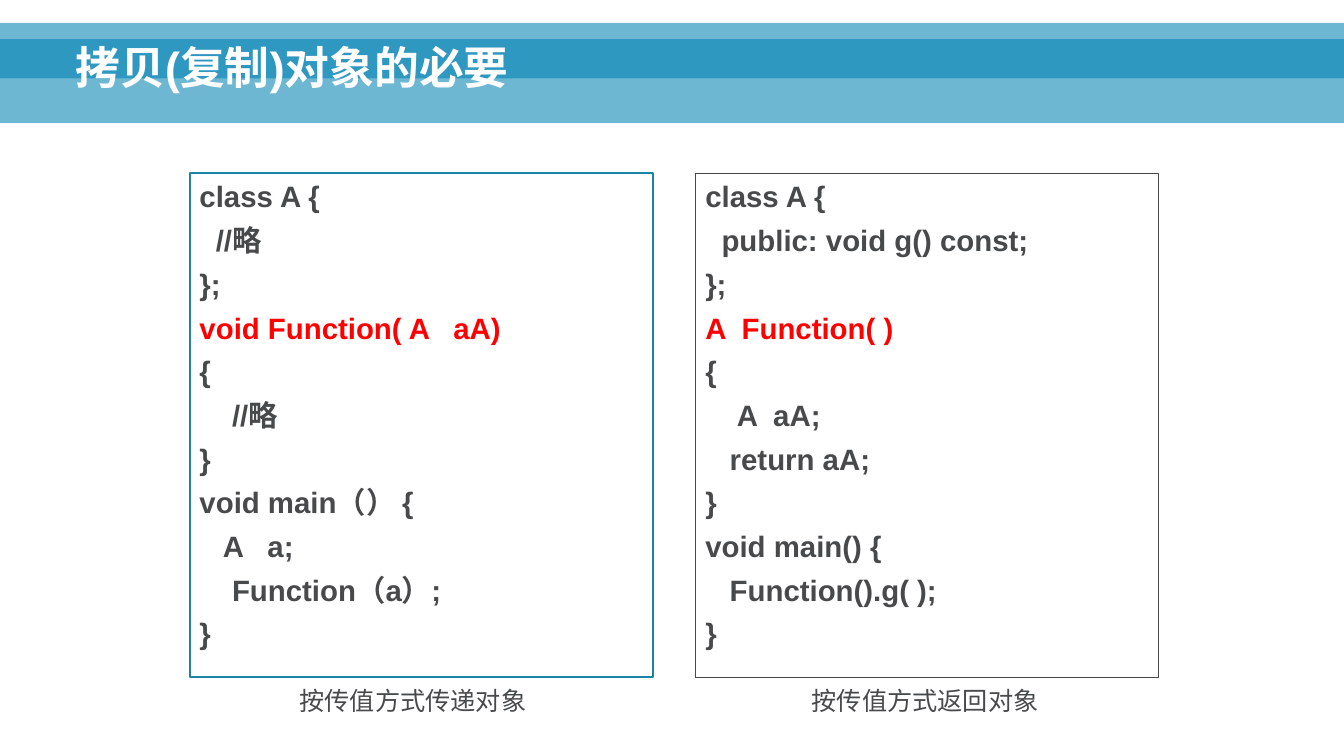
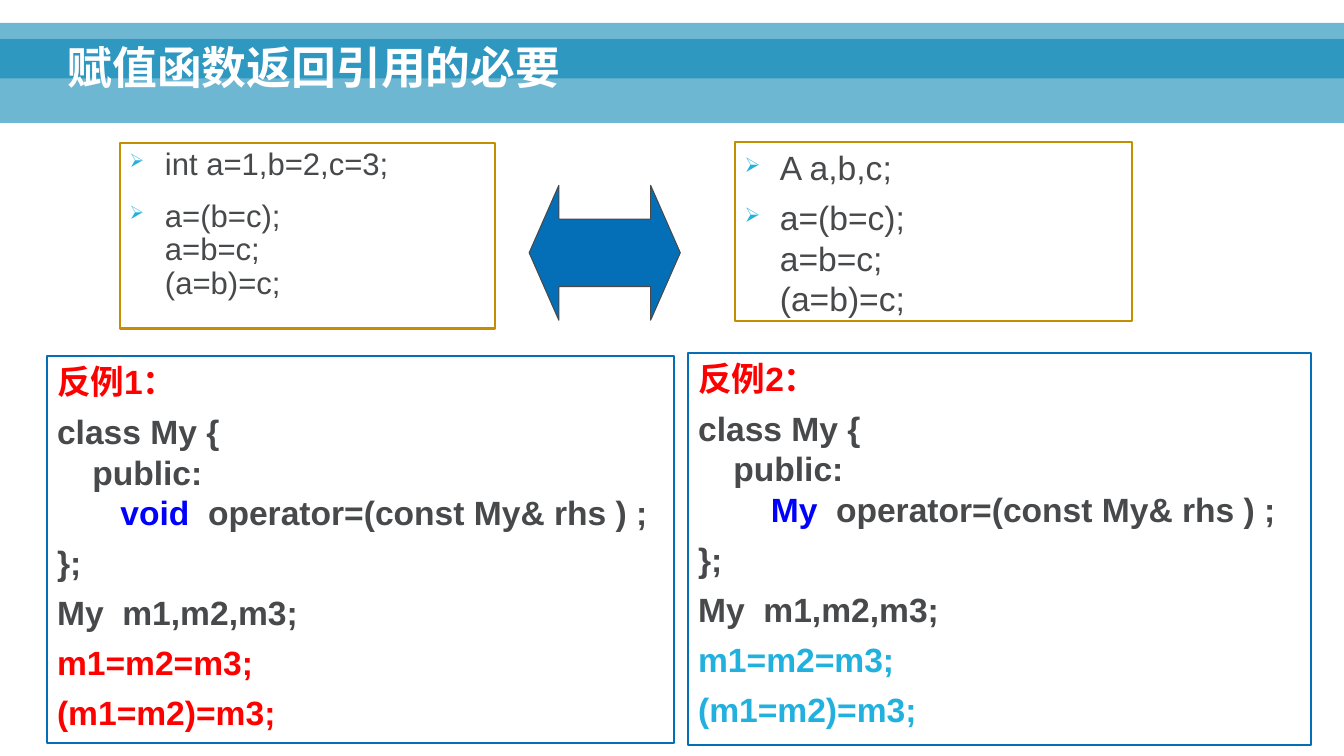
from dataclasses import dataclass

from lxml.etree import SubElement
from pptx import Presentation
from pptx.dml.color import RGBColor
from pptx.enum.shapes import MSO_SHAPE as Shape
from pptx.enum.text import MSO_ANCHOR as Anchor, PP_ALIGN as Align
from pptx.oxml.ns import qn
from pptx.util import Cm, Pt


@dataclass(frozen=True)
class Theme:
    font: str = "Arial"
    band: str = "0082B3"
    band_alpha: int = 57
    title: str = "FFFFFF"
    ink: str = "47494B"
    red: str = "FF0000"
    keyword: str = "0000FF"
    sky: str = "22B1DE"
    teal: str = "1985A7"
    gold: str = "C58D01"
    blue: str = "046FB6"
    title_size: float = 32
    listing_size: float = 21
    example_size: float = 24
    builtin_size: float = 22.2
    caption_size: float = 18


T = Theme()

# Content: a paragraph is a list of (text, colour) pieces, "\n" breaks its line
COPY_TITLE = "拷贝(复制)对象的必要"
PASS_BY_VALUE = ["class A {", "  //略", "};", "void Function( A   aA)", "{",
                 "    //略", "}", "void main（） {", "   A   a;",
                 "    Function（a）;", "}"]
RETURN_BY_VALUE = ["class A {", "  public: void g() const;", "};",
                   "A  Function( )", "{", "    A  aA;", "   return aA;", "}",
                   "void main() {", "   Function().g( );", "}"]
SIGNATURE_LINE = 3
# listing, left, outline colour, outline width, caption, caption centre
LISTINGS = [
    (PASS_BY_VALUE, 4.78, T.teal, 1.5, "按传值方式传递对象", 10.41),
    (RETURN_BY_VALUE, 17.53, T.ink, 0.75, "按传值方式返回对象", 23.32),
]

ASSIGN_TITLE = "赋值函数返回引用的必要"
ASSIGNMENTS = "a=(b=c);\na=b=c;\n(a=b)=c;"
# declaration, box, text size, line spacing, space before, space after
COMPARED = [
    ("int a=1,b=2,c=3;", (3.02, 3.61, 9.47, 4.67), T.builtin_size, 0.9, 7, 6),
    ("A a,b,c;", (18.52, 3.58, 10.01, 4.5), T.example_size, 1.0, 7, 0),
]
# heading, indent and return type, colour of the assignments, box
COUNTEREXAMPLES = [
    ("反例1：", "   ", "void", T.red, (1.19, 8.97, 15.8, 9.75)),
    ("反例2：", "    ", "My", T.sky, (17.35, 8.89, 15.7, 9.88)),
]

HANGING = Cm(0.89)
BANDS = [(0, 0.99, 33.88, 2.11), (0, 0.58, 33.88, 1.4)]


def rgb(value):
    return RGBColor.from_string(value)


def add_box(slide, box, kind=Shape.RECTANGLE, fill=None, line=None, width=1.5):
    shape = slide.shapes.add_shape(kind, *map(Cm, box))
    shape.shadow.inherit = False
    if fill:
        shape.fill.solid()
        shape.fill.fore_color.rgb = rgb(fill)
    else:
        shape.fill.background()
    if line:
        shape.line.color.rgb = rgb(line)
        shape.line.width = Pt(width)
    else:
        shape.line.fill.background()
    return shape


def hang(paragraph, bullet):
    props = paragraph._p.get_or_add_pPr()
    props.set("marL", str(HANGING))
    props.set("indent", str(-HANGING))
    if bullet:
        colour = SubElement(props, qn("a:buClr"))
        SubElement(colour, qn("a:srgbClr"), val=T.sky)
        SubElement(props, qn("a:buSzPct"), val="60000")
        SubElement(props, qn("a:buChar"), char="➢")


def write(shape, paragraphs, size, bold=False, align=Align.LEFT, spacing=None,
          before=0, after=0, hanging=False, bullet=False, top=0.13):
    frame = shape.text_frame
    frame.word_wrap = True
    frame.vertical_anchor = Anchor.TOP
    frame.margin_top = Cm(top)
    for number, pieces in enumerate(paragraphs):
        paragraph = frame.add_paragraph() if number else frame.paragraphs[0]
        if hanging:
            hang(paragraph, bullet)
        paragraph.alignment = align
        paragraph.line_spacing = spacing
        paragraph.space_before = Pt(before if number else 0)
        paragraph.space_after = Pt(after)
        font = paragraph.font
        font.name, font.size, font.bold = T.font, Pt(size), bold
        font.color.rgb = rgb(pieces[0][1])
        for text, colour in pieces:
            for row, part in enumerate(text.split("\n")):
                if row:
                    paragraph.add_line_break()
                run = paragraph.add_run()
                run.text = part
                if colour != pieces[0][1]:
                    run.font.color.rgb = rgb(colour)


def add_bands(layout, slide):
    """Draw the header bands and move them behind the layout's placeholders."""
    for place, box in enumerate(BANDS, start=2):
        band = add_box(slide, box, fill=T.band)
        colour = band.element.spPr.find(".//" + qn("a:srgbClr"))
        SubElement(colour, qn("a:alpha"), val=str(T.band_alpha * 1000))
        layout.shapes.element.insert(place, band.element)


def add_title(slide, text, left, top):
    title = slide.shapes.title
    title.left, title.top, title.width, title.height = map(
        Cm, (left, top, 30.43, 2.21))
    write(title, [[(text, T.title)]], T.title_size, bold=True, spacing=0.9)
    title.text_frame.vertical_anchor = Anchor.BOTTOM


def build_copy_slide(slide):
    add_title(slide, COPY_TITLE, 1.65, 0.28)
    for listing, left, line, width, caption, centre in LISTINGS:
        box = add_box(slide, (left, 4.37, 11.68, 12.7), line=line, width=width)
        rows = [[(text, T.red if number == SIGNATURE_LINE else T.ink)]
                for number, text in enumerate(listing)]
        write(box, rows, T.listing_size, bold=True, before=3, after=3)
        label = slide.shapes.add_textbox(
            Cm(centre - 5.1), Cm(17.15), Cm(10.2), Cm(1.02))
        write(label, [[(caption, T.ink)]], T.caption_size, align=Align.CENTER)


def build_assign_slide(slide):
    add_title(slide, ASSIGN_TITLE, 1.45, 0.3)
    # Built-in type and class side by side
    for declaration, place, size, spacing, before, after in COMPARED:
        box = add_box(slide, place, line=T.gold)
        write(box, [[(declaration, T.ink)], [(ASSIGNMENTS, T.ink)]], size,
              spacing=spacing, before=before, after=after,
              hanging=True, bullet=True)
    arrow = add_box(slide, (13.34, 4.67, 3.81, 3.4), Shape.LEFT_RIGHT_ARROW,
                    fill=T.blue, line=T.ink, width=0.75)
    arrow.adjustments[0], arrow.adjustments[1] = 0.5, 0.22
    # Counterexamples
    for heading, indent, result, colour, place in COUNTEREXAMPLES:
        box = add_box(slide, place, line=T.blue)
        write(box, [
            [(heading, T.red)],
            [("class My {\npublic:\n" + indent, T.ink), (result, T.keyword),
             ("  operator=(const My& rhs ) ;", T.ink)],
            [("};", T.ink)],
            [("My  m1,m2,m3;", T.ink)],
            [("m1=m2=m3;", colour)],
            [("(m1=m2)=m3;", colour)],
        ], T.example_size, bold=True, before=7, hanging=True)


def main():
    deck = Presentation()
    deck.slide_width, deck.slide_height = Cm(33.88), Cm(19.05)
    layout = deck.slide_layouts[5]
    for number, build in enumerate((build_copy_slide, build_assign_slide)):
        slide = deck.slides.add_slide(layout)
        if number == 0:
            add_bands(layout, slide)
        build(slide)
    deck.save("out.pptx")


if __name__ == "__main__":
    main()
